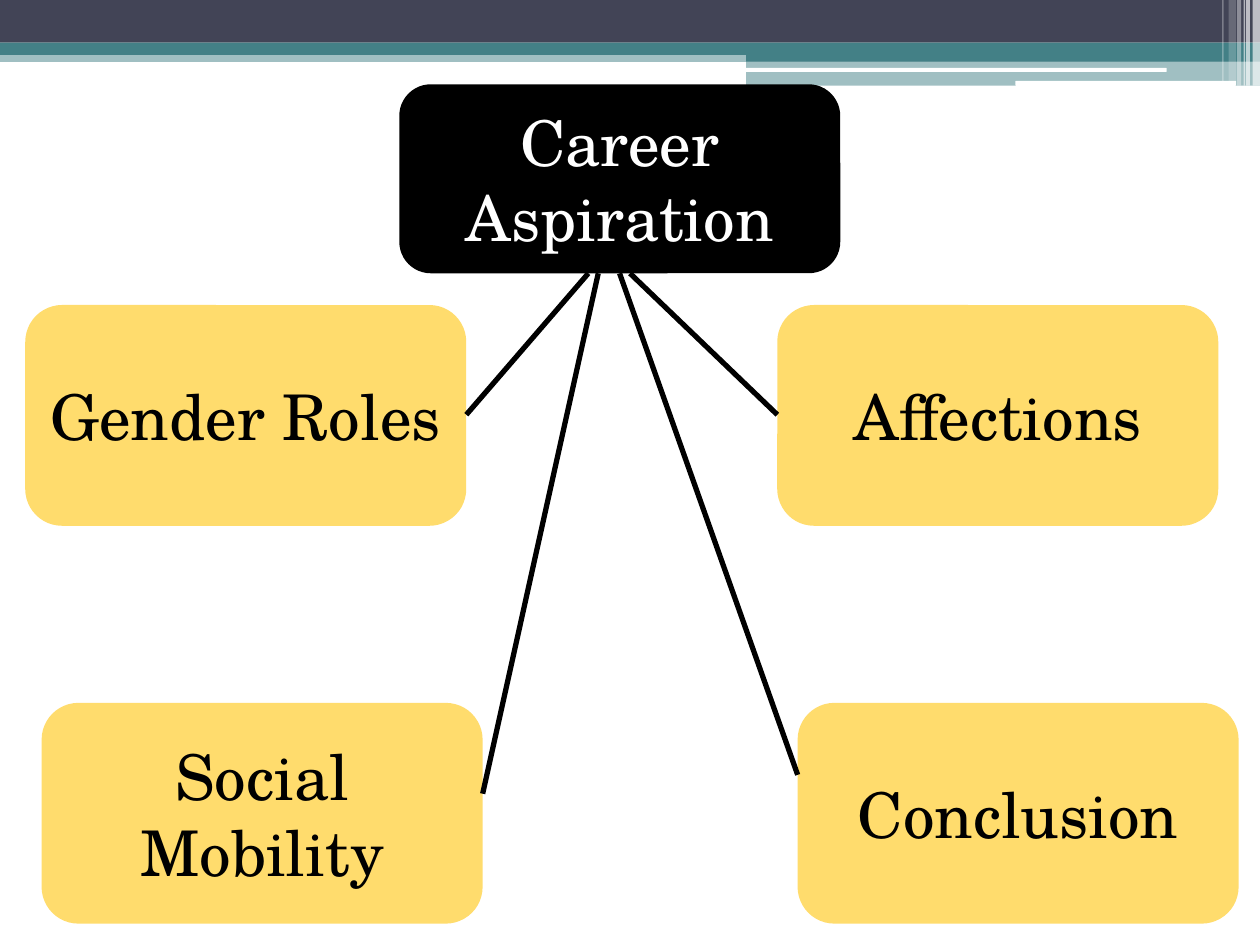
from lxml.etree import SubElement
from pptx import Presentation
from pptx.dml.color import RGBColor
from pptx.enum.shapes import MSO_CONNECTOR as Connector, MSO_SHAPE as Shape
from pptx.enum.text import MSO_ANCHOR as Anchor, PP_ALIGN as Align
from pptx.oxml.ns import qn
from pptx.util import Cm, Pt

FONT = "TeX Gyre Schola"
NAVY = RGBColor(0x42, 0x44, 0x56)
TEAL = RGBColor(0x43, 0x80, 0x86)
YELLOW = RGBColor(0xFF, 0xDC, 0x6D)
BLACK = RGBColor(0x00, 0x00, 0x00)
WHITE = RGBColor(0xFF, 0xFF, 0xFF)

SLIDE_W, SLIDE_H = 25.4, 19.05
NODE_W, TOPIC_H, BRANCH_H = 8.89, 4.45, 3.81


def add_block(slide, kind, box, color, opacity=100):
    """Add a borderless filled shape; box is left, top, width, height in cm."""
    block = slide.shapes.add_shape(kind, *(Cm(length) for length in box))
    block.shadow.inherit = False
    block.fill.solid()
    block.fill.fore_color.rgb = color
    block.line.fill.background()
    if opacity < 100:
        srgb = block.fill._xPr.find(f".//{qn('a:srgbClr')}")
        SubElement(srgb, qn("a:alpha"), val=str(opacity * 1000))
    return block


def add_banner(slide, left, top, width):
    """Layered bands across the top, with pale stripes at the right end."""
    right = left + width
    half_w = 10.36
    bands = [
        # left, top, width, height, colour, opacity
        (left, 1.02, width, 0.23, TEAL, 50),
        (left, 0, width, 0.86, NAVY, 100),
        (left, 0.86, width, 0.25, TEAL, 100),
        (right - half_w, 0.99, half_w, 0.25, TEAL, 100),
        (right - half_w, 1.22, half_w, 0.51, TEAL, 50),
    ]
    for x, y, w, h, color, opacity in bands:
        add_block(slide, Shape.RECTANGLE, (x, top + y, w, h), color, opacity)

    # White rules
    for from_right, y, w, h in [(10.39, 1.37, 8.51, 0.08), (4.93, 1.63, 4.45, 0.1)]:
        add_block(slide, Shape.ROUNDED_RECTANGLE,
                  (right - from_right, top + y, w, h), WHITE)

    # Vertical stripes: distance from the right edge, width, height, opacity
    stripes = [
        (0.15, 0.15, 1.73, 65),
        (0.28, 0.08, 1.73, 65),
        (0.33, 0.03, 1.73, 60),
        (0.46, 0.08, 1.73, 40),
        (0.63, 0.15, 1.63, 20),
        (0.76, 0.03, 1.63, 30),
    ]
    for from_right, w, h, opacity in stripes:
        add_block(slide, Shape.RECTANGLE, (right - from_right, top, w, h),
                  WHITE, opacity)


def add_node(slide, box, label, fill, text_color):
    """Rounded box with a centred label."""
    node = add_block(slide, Shape.ROUNDED_RECTANGLE, box, fill)
    frame = node.text_frame
    frame.word_wrap = True
    frame.vertical_anchor = Anchor.MIDDLE
    paragraph = frame.paragraphs[0]
    paragraph.alignment = Align.CENTER
    run = paragraph.add_run()
    run.text = label
    run.font.name = FONT
    run.font.size = Pt(36)
    run.font.color.rgb = text_color


def add_link(slide, start, end):
    """Black line between two points in cm."""
    link = slide.shapes.add_connector(
        Connector.STRAIGHT, *(Cm(length) for length in (*start, *end)))
    link.line.color.rgb = BLACK
    link.line.width = Pt(3)
    SubElement(link._element.spPr, qn("a:effectLst"))


def add_topic_map(slide, left, top):
    """Central subject linked to four topics."""
    root_x, root_y = left + 7.54, top
    # label, left, top, link height on the topic, link offset on the root
    topics = [
        ("Gender Roles", 0, 4.45, 2.21, 3.81),
        ("Affections", 15.16, 4.45, 2.21, 4.65),
        ("Social Mobility", 0.33, 12.47, 1.83, 4.01),
        ("Conclusion", 15.57, 12.47, 1.45, 4.44),
    ]
    add_node(slide, (root_x, root_y, NODE_W, BRANCH_H),
             "Career Aspiration", BLACK, WHITE)
    for label, x, y, link_y, root_offset in topics:
        topic_x, topic_y = left + x, top + y
        add_node(slide, (topic_x, topic_y, NODE_W, TOPIC_H), label, YELLOW, BLACK)
        # Links leave the side that faces the root
        inner_x = topic_x + NODE_W if topic_x < root_x else topic_x
        add_link(slide, (inner_x, topic_y + link_y),
                 (root_x + root_offset, root_y + BRANCH_H))


def main():
    deck = Presentation()
    deck.slide_width, deck.slide_height = Cm(SLIDE_W), Cm(SLIDE_H)
    blank_layout = deck.slide_layouts[6]
    slide = deck.slides.add_slide(blank_layout)
    add_banner(slide, 0, 0, SLIDE_W)
    add_topic_map(slide, 0.51, 1.7)
    deck.save("out.pptx")


if __name__ == "__main__":
    main()
